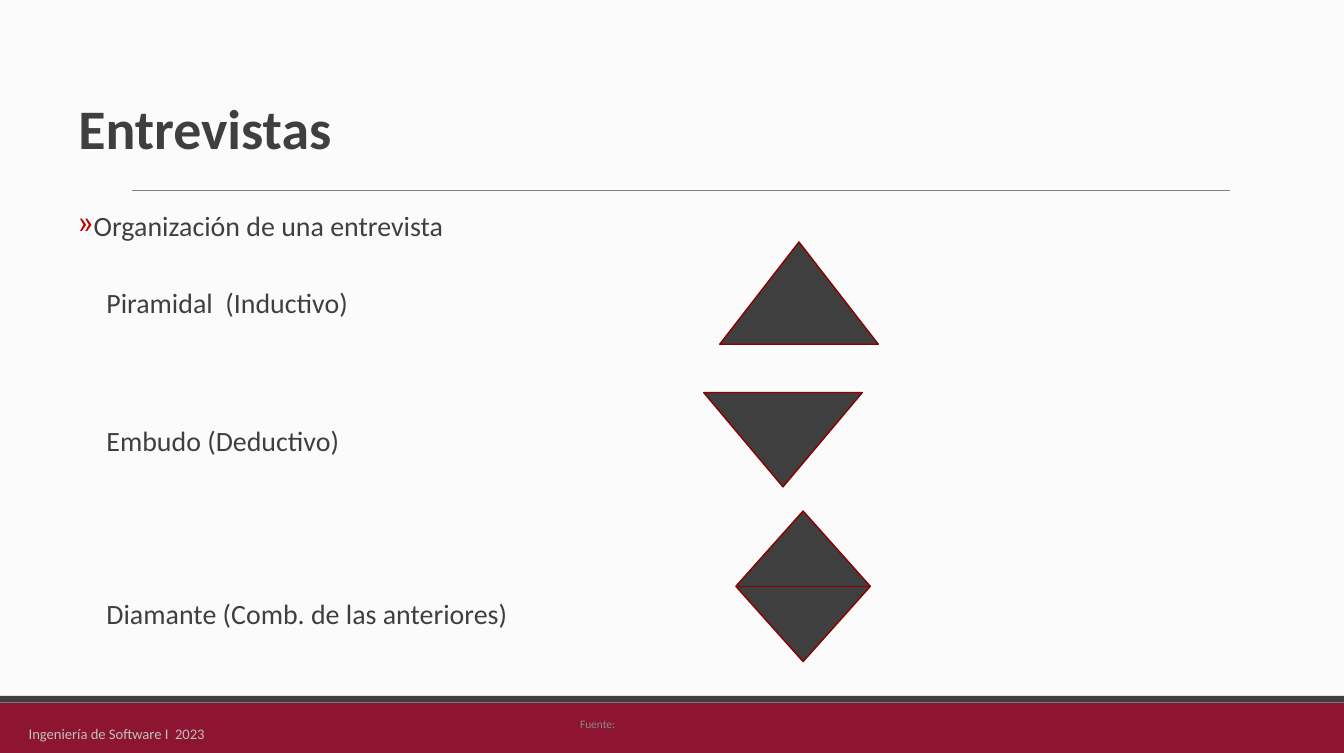
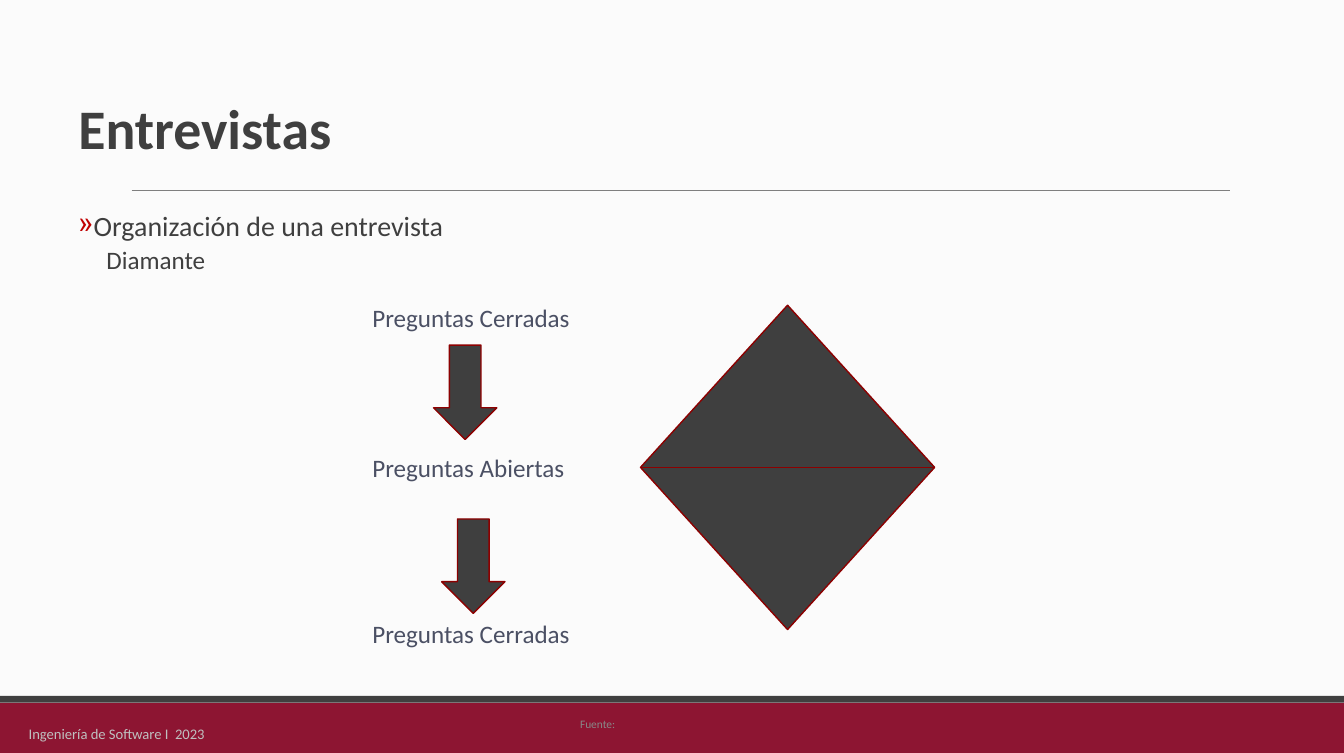
from lxml import etree
from pptx import Presentation
from pptx.dml.color import RGBColor
from pptx.enum.shapes import MSO_CONNECTOR, MSO_SHAPE
from pptx.enum.text import MSO_ANCHOR, PP_ALIGN
from pptx.oxml.ns import qn
from pptx.util import Pt

RECT = MSO_SHAPE.RECTANGLE
TRIANGLE = MSO_SHAPE.ISOSCELES_TRIANGLE
FUNNEL = MSO_SHAPE.FLOWCHART_MERGE
DIAMOND = MSO_SHAPE.FLOWCHART_SORT
ARROW = MSO_SHAPE.DOWN_ARROW
STRAIGHT = MSO_CONNECTOR.STRAIGHT
LEFT = PP_ALIGN.LEFT
TOP, MIDDLE = MSO_ANCHOR.TOP, MSO_ANCHOR.MIDDLE

# Shared look
FONT = "Calibri"
WIDTH, HEIGHT = 964, 540
PAPER, DARK, WINE = "FBFBFB", "3F3F3F", "8D1532"
OUTLINE, BULLET, RULE = "8C0000", "C00000", "7F7F7F"
LABEL, SOURCE, FOOTER = "4B5064", "888888", "BFBFBF"
LINE_SPACING = 0.85


def rgb(value):
    return RGBColor.from_string(value)


def add_run(p, text, size, color, bold=False):
    r = p.add_run()
    r.text = text
    r.font.name = FONT
    r.font.size = Pt(size)
    r.font.bold = bold
    r.font.color.rgb = rgb(color)


def add_figure(slide, kind, x, y, w, h, fill=DARK, line=OUTLINE):
    sp = slide.shapes.add_shape(kind, Pt(x), Pt(y), Pt(w), Pt(h))
    sp.shadow.inherit = False
    sp.fill.solid()
    sp.fill.fore_color.rgb = rgb(fill)
    if line:
        sp.line.color.rgb = rgb(line)
        sp.line.width = Pt(1)
    else:
        sp.line.fill.background()


def add_textbox(slide, x, y, w, h, wrap=True):
    tf = slide.shapes.add_textbox(Pt(x), Pt(y), Pt(w), Pt(h)).text_frame
    tf.word_wrap = wrap
    tf.vertical_anchor = TOP
    return tf


def add_label(slide, text, x, y, w, h, size, color):
    tf = add_textbox(slide, x, y, w, h, wrap=False)
    add_run(tf.paragraphs[0], text, size, color)


def add_rule(slide, x1, x2, y):
    line = slide.shapes.add_connector(STRAIGHT, Pt(x1), Pt(y), Pt(x2), Pt(y))
    line.line.color.rgb = rgb(RULE)
    line.line.width = Pt(0.75)
    etree.SubElement(line._element.spPr, qn("a:effectLst"))


def set_bullet(p, char, color, indent):
    pPr = p._p.get_or_add_pPr()
    pPr.set("marL", str(Pt(indent)))
    pPr.set("indent", str(-Pt(indent)))
    clr = etree.SubElement(pPr, qn("a:buClr"))
    etree.SubElement(clr, qn("a:srgbClr"), val=color)
    etree.SubElement(pPr, qn("a:buChar"), char=char)


def add_body(slide, heading, items):
    """Bulleted heading, then indented items given as (text, size, space before)."""
    tf = add_textbox(slide, 49, 149.8, 774, 352.8)
    p = tf.paragraphs[0]
    p.line_spacing = LINE_SPACING
    set_bullet(p, "»", BULLET, 5)
    add_run(p, heading, 20, DARK)
    for text, size, gap in items:
        p = tf.add_paragraph()
        p.line_spacing = LINE_SPACING
        p.space_before = Pt(gap)
        p._p.get_or_add_pPr().set("marL", str(Pt(20.2)))
        add_run(p, text, size, DARK)


def add_slide(prs, title):
    slide = prs.slides.add_slide(prs.slide_layouts[5])
    # Bands, rule and footers
    add_figure(slide, RECT, 0, 504, WIDTH, 36, WINE, None)
    add_figure(slide, RECT, 0, 499, WIDTH, 5, DARK, None)
    add_rule(slide, 94.5, 882, 136.8)
    add_label(slide, "Fuente:", 409, 510.5, 52.6, 17.3, 8.2, SOURCE)
    add_label(slide, "Ingeniería de Software I  2023", 13.5, 516.2, 170.6, 16.6,
              10.5, FOOTER)
    # Title
    sp = slide.shapes.title
    sp.left, sp.top, sp.width, sp.height = Pt(49), Pt(50.4), Pt(852), Pt(89.3)
    tf = sp.text_frame
    tf.vertical_anchor = MIDDLE
    p = tf.paragraphs[0]
    p.alignment = LEFT
    p.line_spacing = LINE_SPACING
    add_run(p, title, 40, DARK, bold=True)
    return slide


def build_structures(prs):
    slide = add_slide(prs, "Entrevistas")
    add_body(slide, "Organización de una entrevista", [
        ("Piramidal  (Inductivo)", 20, 34.5),
        ("Embudo (Deductivo)", 20, 79),
        ("Diamante (Comb. de las anteriores)", 20, 103.3),
    ])
    add_figure(slide, TRIANGLE, 516.2, 173.5, 113.8, 73.4)
    add_figure(slide, FUNNEL, 504.7, 281.5, 113.8, 67.7)
    add_figure(slide, DIAMOND, 527.8, 366.5, 96.5, 108)


def build_diamond(prs):
    slide = add_slide(prs, "Entrevistas")
    add_body(slide, "Organización de una entrevista", [("Diamante", 18, 4.5)])
    for text, y in (("Preguntas Cerradas", 213), ("Preguntas Abiertas", 321),
                    ("Preguntas Cerradas", 440)):
        add_label(slide, text, 260, y, 157, 51, 18, LABEL)
    for x, y in ((311, 247.5), (316.8, 372.2)):
        add_figure(slide, ARROW, x, y, 45.4, 67.7)
    add_figure(slide, DIAMOND, 459.4, 218.9, 211, 232.6)


def main():
    prs = Presentation()
    prs.slide_width, prs.slide_height = Pt(WIDTH), Pt(HEIGHT)
    fill = prs.slide_master.background.fill
    fill.solid()
    fill.fore_color.rgb = rgb(PAPER)
    build_structures(prs)
    build_diamond(prs)
    prs.save("out.pptx")


if __name__ == "__main__":
    main()
